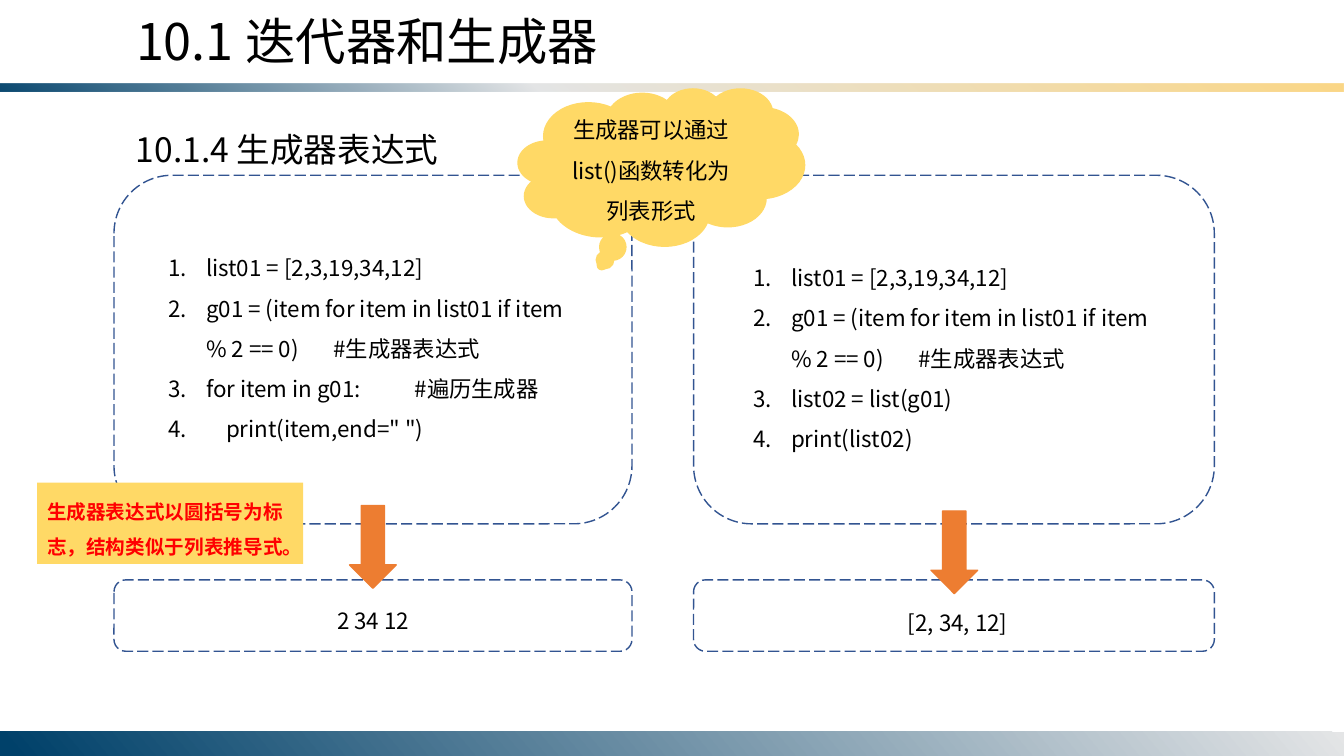
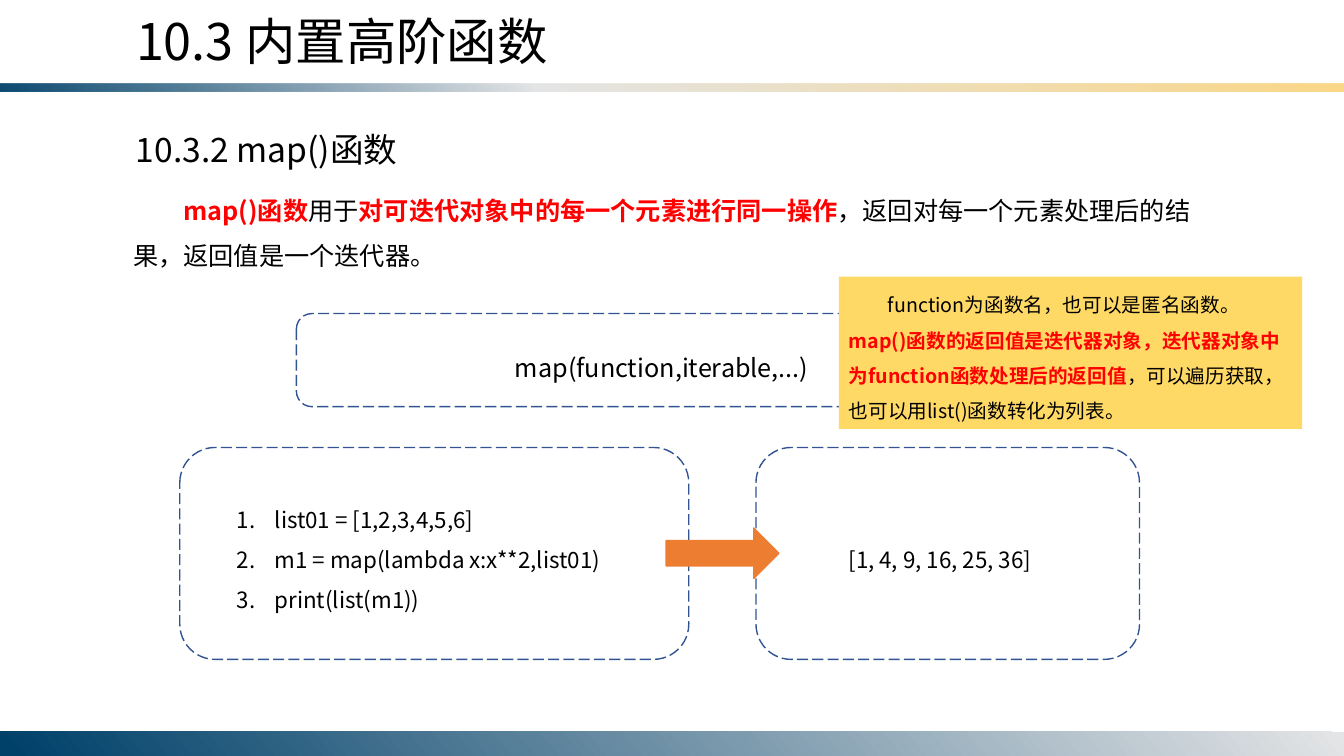
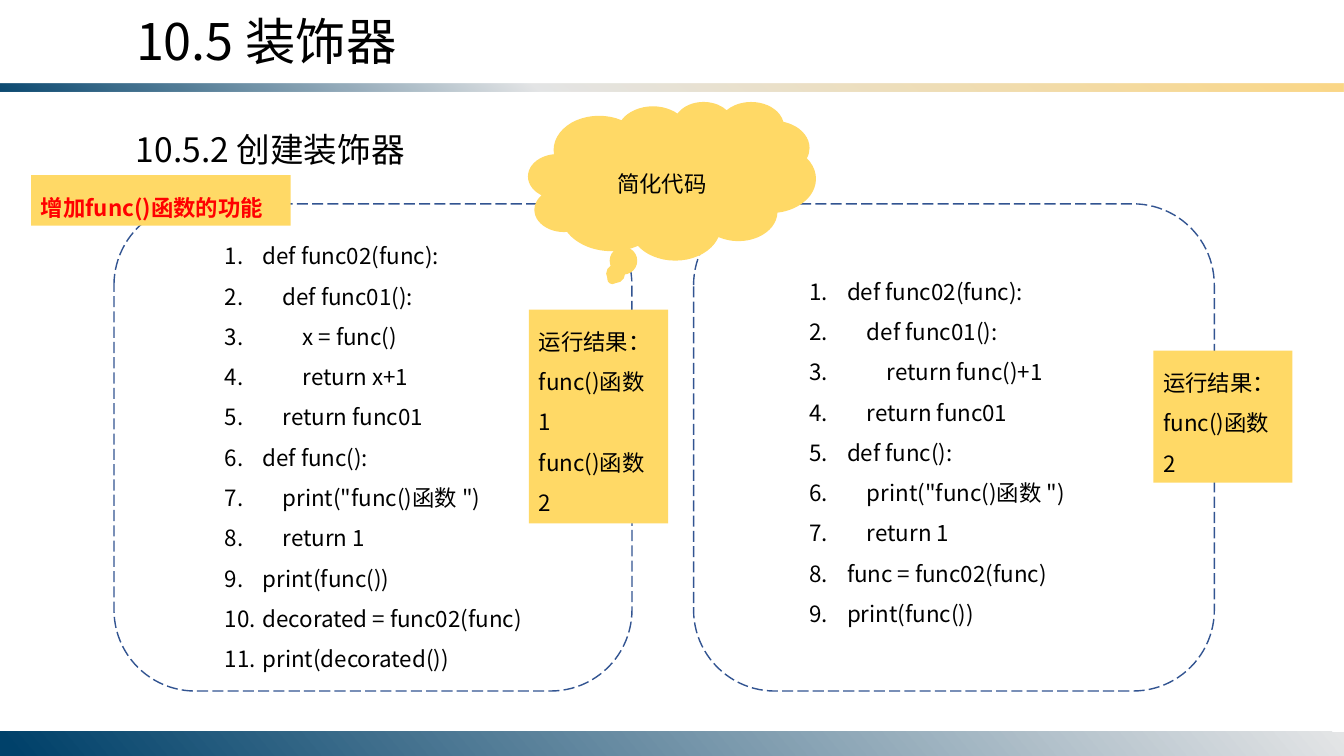
from dataclasses import dataclass

from lxml import etree
from pptx import Presentation
from pptx.dml.color import RGBColor
from pptx.enum.dml import MSO_LINE
from pptx.enum.shapes import MSO_SHAPE
from pptx.enum.text import MSO_ANCHOR, MSO_AUTO_SIZE, PP_ALIGN
from pptx.oxml import parse_xml
from pptx.oxml.ns import nsdecls, qn
from pptx.util import Pt

RECT = MSO_SHAPE.RECTANGLE
ROUNDED = MSO_SHAPE.ROUNDED_RECTANGLE
CLOUD = MSO_SHAPE.CLOUD_CALLOUT
DOWN = MSO_SHAPE.DOWN_ARROW
RIGHT = MSO_SHAPE.RIGHT_ARROW
LONG_DASH = MSO_LINE.LONG_DASH
TOP, MIDDLE = MSO_ANCHOR.TOP, MSO_ANCHOR.MIDDLE
LEFT, CENTER = PP_ALIGN.LEFT, PP_ALIGN.CENTER
GROW, FIXED = MSO_AUTO_SIZE.SHAPE_TO_FIT_TEXT, MSO_AUTO_SIZE.NONE
TITLE_AND_CONTENT, TWO_CONTENT = 1, 3


@dataclass(frozen=True)
class Theme:
    font: str = "Noto Sans CJK SC"
    text: str = "000000"
    hot: str = "FF0000"
    outline: str = "325491"
    note: str = "FFD966"
    arrow: str = "ED7D31"
    navy: str = "00416A"
    mist: str = "E4E5E6"
    sand: str = "FBD786"
    title: int = 36
    heading: int = 24
    body: int = 18
    code: int = 16
    small: int = 14


T = Theme()
SLIDE_W, SLIDE_H = 960, 540
MARGIN = 90
NUMBER_INDENT = 27
LEFT_PANEL, RIGHT_PANEL = (81.4, 370), (495.4, 372)


# Text
def style_run(r, size, hot=False):
    r.font.size = Pt(size)
    r.font.name = T.font
    r.font.bold = hot
    r.font.color.rgb = RGBColor.from_string(T.hot if hot else T.text)
    latin = r.font._element.find(qn("a:latin"))
    ea = etree.Element(qn("a:ea"), typeface=T.font)
    latin.addnext(ea)


def number_paragraph(p, tab):
    pPr = p._p.get_or_add_pPr()
    pPr.set("marL", str(Pt(NUMBER_INDENT)))
    pPr.set("indent", str(-Pt(NUMBER_INDENT)))
    etree.SubElement(pPr, qn("a:buAutoNum"), type="arabicPeriod")
    if tab:
        tabs = etree.SubElement(pPr, qn("a:tabLst"))
        etree.SubElement(tabs, qn("a:tab"), pos=str(Pt(tab)), algn="l")


def write(sp, paragraphs, size, spacing=1.5, align=LEFT, anchor=TOP,
          fit=GROW, first_indent=0, numbered=False, tabs=None):
    """Each paragraph is a string or a list of (text, hot) runs."""
    tf = sp.text_frame
    tf.word_wrap = True
    tf.auto_size = fit
    tf.vertical_anchor = anchor
    for i, content in enumerate(paragraphs):
        p = tf.paragraphs[0] if i == 0 else tf.add_paragraph()
        if numbered:
            number_paragraph(p, (tabs or {}).get(i))
        elif first_indent:
            p._p.get_or_add_pPr().set("indent", str(Pt(first_indent)))
        p.alignment = align
        p.line_spacing = spacing
        p.space_before = Pt(0)
        runs = [(content, False)] if isinstance(content, str) else content
        for text, hot in runs:
            r = p.add_run()
            r.text = text
            style_run(r, size, hot)


def place(sp, x, y, w, h):
    sp.left, sp.top, sp.width, sp.height = Pt(x), Pt(y), Pt(w), Pt(h)


def add_text(slide, x, y, w, h, paragraphs, size, **options):
    sp = slide.shapes.add_textbox(Pt(x), Pt(y), Pt(w), Pt(h))
    write(sp, paragraphs, size, **options)


def fill_code(slide, idx, x, y, w, h, lines, tabs=None):
    sp = slide.placeholders[idx]
    place(sp, x, y, w, h)
    write(sp, lines, T.code, numbered=True, tabs=tabs)


# Shapes
def add_shape(slide, kind, x, y, w, h, fill=None, line=None):
    sp = slide.shapes.add_shape(kind, Pt(x), Pt(y), Pt(w), Pt(h))
    sp.shadow.inherit = False
    if fill:
        sp.fill.solid()
        sp.fill.fore_color.rgb = RGBColor.from_string(fill)
    else:
        sp.fill.background()
    if line:
        sp.line.color.rgb = RGBColor.from_string(line)
        sp.line.width = Pt(1)
    else:
        sp.line.fill.background()
    return sp


def add_panel(slide, x, y, w, h):
    sp = add_shape(slide, ROUNDED, x, y, w, h, line=T.outline)
    sp.line.dash_style = LONG_DASH


def add_arrow(slide, kind, x, y, w, h):
    add_shape(slide, kind, x, y, w, h, T.arrow, T.arrow)


def add_note(slide, x, y, w, h, paragraphs, size, **options):
    sp = add_shape(slide, RECT, x, y, w, h, T.note)
    write(sp, paragraphs, size, **options)


def add_cloud(slide, x, y, text):
    sp = add_shape(slide, CLOUD, x, y, 204.5, 112.3, T.note, T.note)
    write(sp, [text], T.code, align=CENTER, anchor=MIDDLE, fit=FIXED)


# Shared frame
def set_gradient(sp, stops, angle):
    gs = "".join(
        f'<a:gs pos="{pos * 1000}"><a:srgbClr val="{color}">'
        f'<a:alpha val="{alpha * 1000}"/></a:srgbClr></a:gs>'
        for pos, color, alpha in stops)
    grad = parse_xml(
        f'<a:gradFill {nsdecls("a")} rotWithShape="1"><a:gsLst>{gs}</a:gsLst>'
        f'<a:lin ang="{angle * 60000}" scaled="0"/></a:gradFill>')
    spPr = sp.element.spPr
    spPr.replace(spPr.find(qn("a:noFill")), grad)


def add_master_bands(prs, slide):
    """Draw both bands, then move them to the slide master."""
    header = add_shape(slide, RECT, 0, 59.5, SLIDE_W, 6)
    set_gradient(header, [(0, T.navy, 95), (40, T.mist, 100),
                          (100, T.sand, 100)], 50)
    header.element.spPr.find(qn("a:xfrm")).set("flipV", "1")
    footer = add_shape(slide, RECT, 0, 522.5, SLIDE_W, SLIDE_H - 522.5)
    set_gradient(footer, [(0, T.mist, 100), (99, T.navy, 100)], 140)
    for i, band in enumerate((header, footer)):
        band.element.nvSpPr.cNvPr.set("id", str(100 + i))
        prs.slide_master.shapes.element.append(band.element)


def add_slide(prs, layout, title, heading):
    slide = prs.slides.add_slide(prs.slide_layouts[layout])
    place(slide.shapes.title, MARGIN, 3.9, 440.5, 50.9)
    write(slide.shapes.title, [title], T.title, spacing=1)
    add_text(slide, MARGIN, 88.6, 371.5, 36.3, [heading], T.heading, spacing=1)
    return slide


# Slides
def generator_slide(prs):
    slide = add_slide(prs, TWO_CONTENT, "10.1 迭代器和生成器", "10.1.4 生成器表达式")
    add_master_bands(prs, slide)
    shared = ["list01 = [2,3,19,34,12]",
              "g01 = (item for item in list01 if item % 2 == 0)\t#生成器表达式"]
    fill_code(slide, 1, 113, 168.5, 307.5, 152.7,
              shared + ["for item in g01:\t#遍历生成器", '    print(item,end=" ")'],
              tabs={1: 118, 2: 176})
    fill_code(slide, 2, 530.9, 175.5, 314, 152.7,
              shared + ["list02 = list(g01)", "print(list02)"], tabs={1: 118})
    for x, w in (LEFT_PANEL, RIGHT_PANEL):
        add_panel(slide, x, 125.2, w, 249)
        add_panel(slide, x, 414.2, w, 51)
    add_text(slide, 233.8, 420.5, 83, 36, ["2 34 12"], T.code)
    add_text(slide, 641.5, 422, 92, 36, ["[2, 34, 12]"], T.code)
    add_arrow(slide, DOWN, 249.7, 361.2, 33.3, 59)
    add_arrow(slide, DOWN, 665, 365, 33.3, 59)
    add_note(slide, 26.5, 344.8, 190, 58,
             [[("生成器表达式以圆括号为标志，结构类似于列表推导式。", True)]], T.small)
    add_cloud(slide, 370.2, 63.2, "生成器可以通过list()函数转化为列表形式")


def map_slide(prs):
    slide = add_slide(prs, TITLE_AND_CONTENT, "10.3 内置高阶函数", "10.3.2 map()函数")
    add_text(slide, 88, 125.2, 784, 73,
             [[("map()函数", True), ("用于", False),
               ("对可迭代对象中的每一个元素进行同一操作", True),
               ("，返回对每一个元素处理后的结果，返回值是一个迭代器。", False)]],
             T.body, first_indent=36)
    add_text(slide, 360.8, 237.5, 232, 39.6, ["map(function,iterable,...)"], T.body)
    add_panel(slide, 211.7, 224, 536.4, 66.5)
    add_note(slide, 599.2, 197.6, 331, 108.7,
             [[("function为函数名，也可以是匿名函数。", False),
               ("map()函数的返回值是迭代器对象，迭代器对象中为function函数处理后的返回值", True),
               ("，可以遍历获取，也可以用list()函数转化为列表。", False)]],
             T.small, first_indent=28)
    fill_code(slide, 1, 162, 348, 297.4, 94.3,
              ["list01 = [1,2,3,4,5,6]", "m1 = map(lambda x:x**2,list01)",
               "print(list(m1))"])
    add_text(slide, 599, 377, 155.5, 36, ["[1, 4, 9, 16, 25, 36]"], T.code)
    for x, w in ((128.4, 363.6), (540, 274)):
        add_panel(slide, x, 319.6, w, 151.4)
    add_arrow(slide, RIGHT, 475.8, 377.2, 80.6, 36)


def decorator_slide(prs):
    slide = add_slide(prs, TWO_CONTENT, "10.5 装饰器", "10.5.2 创建装饰器")
    opening = ["def func02(func):", "    def func01():"]
    middle = ["    return func01", "def func():",
              '    print("func()函数 ")', "    return 1"]
    fill_code(slide, 1, 153.4, 160, 244, 327,
              opening + ["        x = func()", "        return x+1"] + middle
              + ["print(func())", "decorated = func02(func)", "print(decorated())"])
    fill_code(slide, 2, 570.8, 185.3, 222, 268.6,
              opening + ["        return func()+1"] + middle
              + ["func = func02(func)", "print(func())"])
    for x, w in (LEFT_PANEL, RIGHT_PANEL):
        add_panel(slide, x, 145.6, w, 348)
    add_note(slide, 22.2, 125.2, 185.5, 36, [[("增加func()函数的功能", True)]], T.code)
    add_cloud(slide, 377.8, 73, "简化代码")
    result = ["运行结果：", "func()函数"]
    add_note(slide, 377.8, 221.2, 99.4, 152.7,
             result + ["1", "func()函数", "2"], T.code)
    add_note(slide, 823.8, 250.5, 99.4, 94.3, result + ["2"], T.code)


def main():
    prs = Presentation()
    prs.slide_width, prs.slide_height = Pt(SLIDE_W), Pt(SLIDE_H)
    generator_slide(prs)
    map_slide(prs)
    decorator_slide(prs)
    prs.save("out.pptx")


if __name__ == "__main__":
    main()
